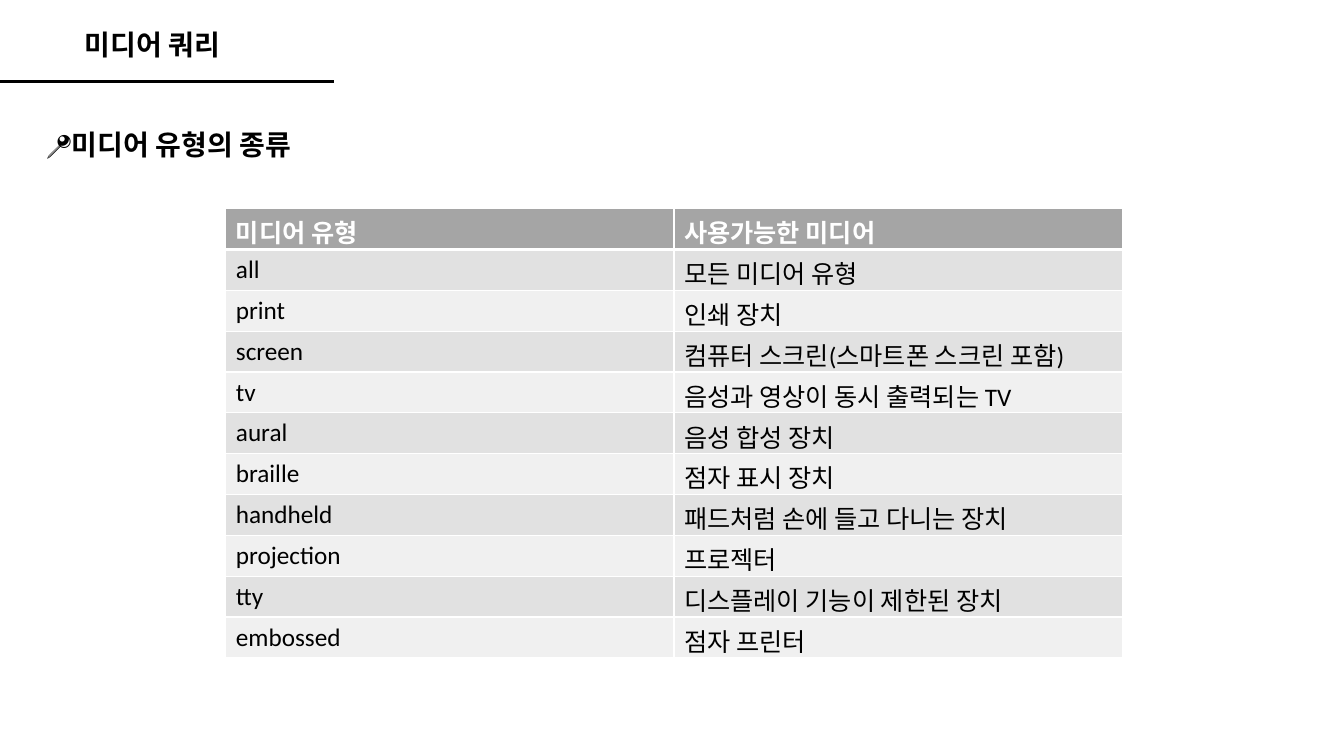
from lxml import etree
from pptx import Presentation, util as u
from pptx.dml.color import RGBColor
from pptx.enum import shapes, text
from pptx.oxml.ns import qn

HEADINGS = [
    ("미디어 쿼리", (0.74, 0.22, 1.82, 0.44), "Arial"),
    ("📍미디어 유형의 종류", (0.36, 1.22, 12.65, 0.44), "Calibri"),
]
MEDIA_TYPES = [
    ("미디어 유형", "사용가능한 미디어"),
    ("all", "모든 미디어 유형"),
    ("print", "인쇄 장치"),
    ("screen", "컴퓨터 스크린(스마트폰 스크린 포함)"),
    ("tv", "음성과 영상이 동시 출력되는 TV"),
    ("aural", "음성 합성 장치"),
    ("braille", "점자 표시 장치"),
    ("handheld", "패드처럼 손에 들고 다니는 장치"),
    ("projection", "프로젝터"),
    ("tty", "디스플레이 기능이 제한된 장치"),
    ("embossed", "점자 프린터"),
]
COLORS = {"ink": "000000", "paper": "FFFFFF", "header": "A5A5A5",
          "odd": "E1E1E1", "even": "F0F0F0"}
TABLE_BOX = (2.24, 2.07, 8.89, 4.46)
RULE_Y, RULE_END = 0.81, 3.31


def rgb(name):
    return RGBColor.from_string(COLORS[name])


def inches(values):
    return [u.Inches(v) for v in values]


def write(tf, words, color, **font):
    r = tf.paragraphs[0].add_run()
    r.text = words
    for key, value in font.items():
        setattr(r.font, key, value)
    r.font.color.rgb = rgb(color)


def add_borders(cell, widths):
    tc_pr = cell._tc.get_or_add_tcPr()
    for i, (side, width) in enumerate(widths.items()):
        ln = etree.Element(qn("a:ln" + side), w=str(u.Pt(width)))
        fill = etree.SubElement(ln, qn("a:solidFill"))
        etree.SubElement(fill, qn("a:srgbClr"), val=COLORS["paper"])
        tc_pr.insert(i, ln)


prs = Presentation()
prs.slide_width, prs.slide_height = inches((13.33, 7.5))
s = prs.slides.add_slide(prs.slide_layouts[6])

rule = s.shapes.add_connector(shapes.MSO_CONNECTOR.STRAIGHT,
                              *inches((0, RULE_Y, RULE_END, RULE_Y)))
rule.line.width = u.Pt(2.25)
rule.line.color.rgb = rgb("ink")
etree.SubElement(rule._element.spPr, qn("a:effectLst"))

for words, box, face in HEADINGS:
    tf = s.shapes.add_textbox(*inches(box)).text_frame
    tf.word_wrap = True
    tf.auto_size = text.MSO_AUTO_SIZE.SHAPE_TO_FIT_TEXT
    write(tf, words, "ink", name=face, size=u.Pt(20), bold=True)

rows, cols = len(MEDIA_TYPES), len(MEDIA_TYPES[0])
table = s.shapes.add_table(rows, cols, *inches(TABLE_BOX)).table
for col in table.columns:
    col.width = u.Inches(TABLE_BOX[2] / cols)
for row in table.rows:
    row.height = u.Inches(TABLE_BOX[3] / rows)

for i, entry in enumerate(MEDIA_TYPES):
    head = i == 0
    band = "header" if head else "odd" if i % 2 else "even"
    for j, words in enumerate(entry):
        cell = table.cell(i, j)
        cell.fill.solid()
        cell.fill.fore_color.rgb = rgb(band)
        add_borders(cell, {"L": 1, "R": 1, "T": 3 if i == 1 else 1, "B": 3 if head else 1})
        write(cell.text_frame, words, "paper" if head else "ink",
              name="Calibri", size=u.Pt(18), bold=head)

prs.save("out.pptx")
